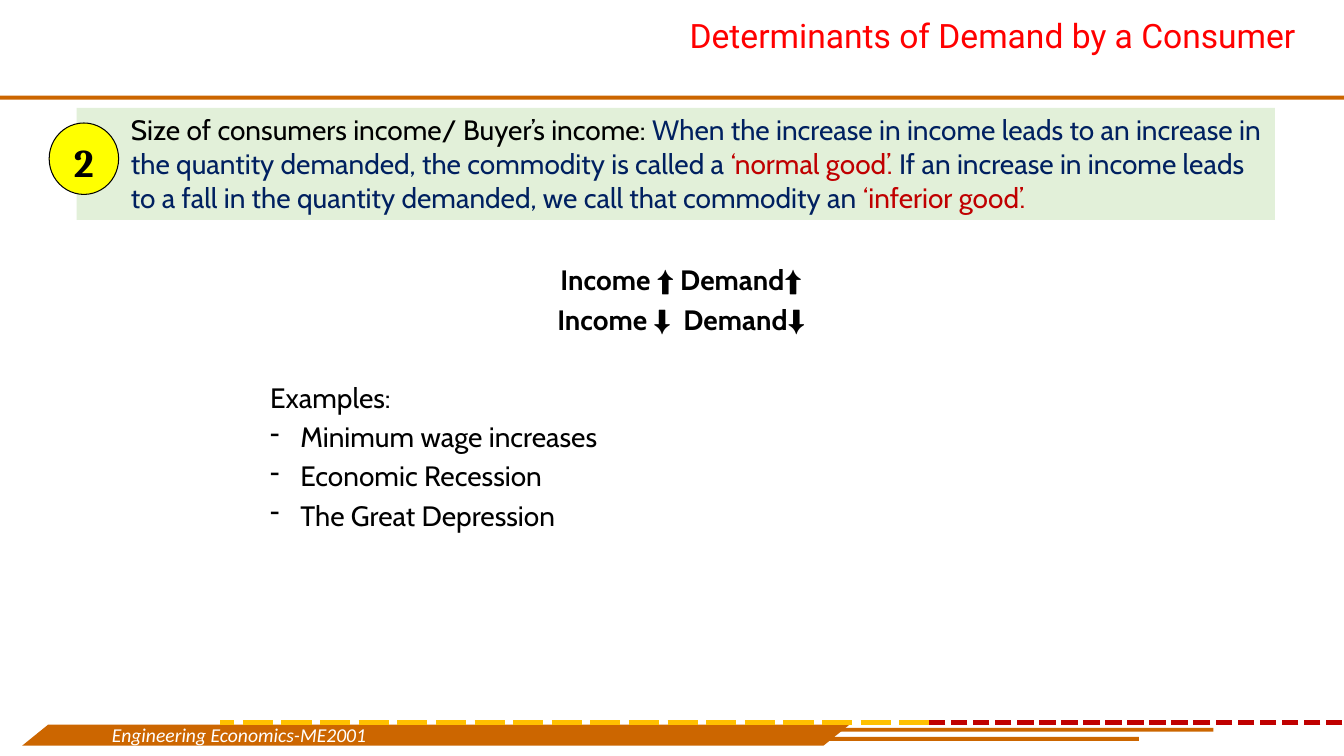
from lxml import etree
from pptx import Presentation
from pptx import util as u
from pptx.dml.color import RGBColor
from pptx.enum import dml, shapes, text
from pptx.oxml.ns import qn

COLORS = {
    "orange": "CC6600", "white": "FFFFFF", "black": "000000", "red": "FF0000",
    "gold": "FFC000", "crimson": "C00000", "mint": "E2F0D9",
    "navy": "002060", "yellow": "FFFF00",
}

deck = Presentation()
deck.slide_width, deck.slide_height = u.Cm(33.87), u.Cm(19.05)
page = deck.slides.add_slide(deck.slide_layouts[6])


def add_block(kind, place, fill):
    block = page.shapes.add_shape(kind, *[u.Cm(length) for length in place])
    block.shadow.inherit = False
    block.fill.solid()
    block.fill.fore_color.rgb = RGBColor.from_string(COLORS[fill])
    block.line.fill.background()
    block.text_frame.word_wrap = True
    block.text_frame.vertical_anchor = text.MSO_ANCHOR.TOP
    block.text_frame.paragraphs[0].alignment = text.PP_ALIGN.LEFT
    return block


def add_span(para, words, font, size, color, bold=False, italic=False):
    span = para.add_run()
    span.text = words
    span.font.name = font
    span.font.size = u.Pt(size)
    span.font.bold = bold
    span.font.italic = italic
    span.font.color.rgb = RGBColor.from_string(COLORS[color])


rules = [
    (0, 2.41, 33.87, 0.1),
    (18.95, 18.34, 11.63, 0.1),
    (19.56, 18.57, 9.14, 0.1),
]
for place in rules:
    add_block(shapes.MSO_SHAPE.RECTANGLE, place, "orange")

footer = add_block(shapes.MSO_SHAPE.PARALLELOGRAM, (0.56, 18.26, 20.85, 0.53), "orange")
footer.adjustments[0] = 1.236
footer.text_frame.vertical_anchor = text.MSO_ANCHOR.MIDDLE
add_span(footer.text_frame.paragraphs[0], "Engineering Economics-ME2001",
         "Calibri", 14, "white", italic=True)

title = page.shapes.add_textbox(u.Cm(7.42), u.Cm(0.25), u.Cm(25.48), u.Cm(1.27))
title.text_frame.word_wrap = True
title_para = title.text_frame.paragraphs[0]
title_para.alignment = text.PP_ALIGN.RIGHT
add_span(title_para, "Determinants of Demand by a Consumer", "Roboto", 24, "red")

dashes = [
    (23.42, 5.54, "gold", dml.MSO_LINE.DASH),
    (6.12, 23.42, "gold", dml.MSO_LINE.DASH),
    (33.83, 23.42, "crimson", dml.MSO_LINE.SQUARE_DOT),
]
for start, end, color, style in dashes:
    dash = page.shapes.add_connector(
        shapes.MSO_CONNECTOR.STRAIGHT, u.Cm(start), u.Cm(18.21), u.Cm(end), u.Cm(18.21))
    dash.line.color.rgb = RGBColor.from_string(COLORS[color])
    dash.line.width = u.Pt(3.94)
    dash.line.dash_style = style
    etree.SubElement(dash._element.spPr, qn("a:effectLst"))

definition = add_block(shapes.MSO_SHAPE.RECTANGLE, (1.93, 2.72, 30.2, 2.82), "mint")
definition_para = definition.text_frame.paragraphs[0]
definition_para._p.get_or_add_pPr().set("marL", str(u.Cm(1.12)))
for words, color in [
    ("Size of consumers income/ Buyer’s income: ", "black"),
    ("When the increase in income leads to an increase in the quantity demanded, "
     "the commodity is called a ", "navy"),
    ("‘normal good’. ", "crimson"),
    ("If an increase in income leads to a fall in the quantity demanded, "
     "we call that commodity an ", "navy"),
    ("‘inferior good’.", "crimson"),
]:
    add_span(definition_para, words, "Cabin", 20, color)

badge = add_block(shapes.MSO_SHAPE.OVAL, (1.24, 3.1, 1.75, 1.8), "yellow")
badge.line.color.rgb = RGBColor.from_string(COLORS["black"])
badge.line.width = u.Pt(0.75)
badge_para = badge.text_frame.paragraphs[0]
badge_para.alignment = text.PP_ALIGN.CENTER
add_span(badge_para, "2", "Cambria", 28, "black", bold=True)

body = page.shapes.add_textbox(u.Cm(5.54), u.Cm(6.5), u.Cm(22.23), u.Cm(11.43))
body.text_frame.word_wrap = True
lines = [
    ("Income ⬆ Demand⬆", "effect", 4),
    ("Income ⬇  Demand⬇", "effect", 4),
    ("Examples:", "heading", 32),
    ("Minimum wage increases", "item", 4),
    ("Economic Recession", "item", 4),
    ("The Great Depression", "item", 4),
]
for index, (words, role, gap) in enumerate(lines):
    para = body.text_frame.paragraphs[0] if index == 0 else body.text_frame.add_paragraph()
    effect = role == "effect"
    para.alignment = text.PP_ALIGN.CENTER if effect else text.PP_ALIGN.LEFT
    para.space_before = u.Pt(gap)
    settings = para._p.get_or_add_pPr()
    settings.set("marL", str(u.Cm(1.78)))
    settings.set("indent", str(u.Cm(-0.76)))
    if role == "item":
        etree.SubElement(settings, qn("a:buChar"), char="-")
    add_span(para, words, "Cabin", 20, "black", bold=effect)

deck.save("out.pptx")
